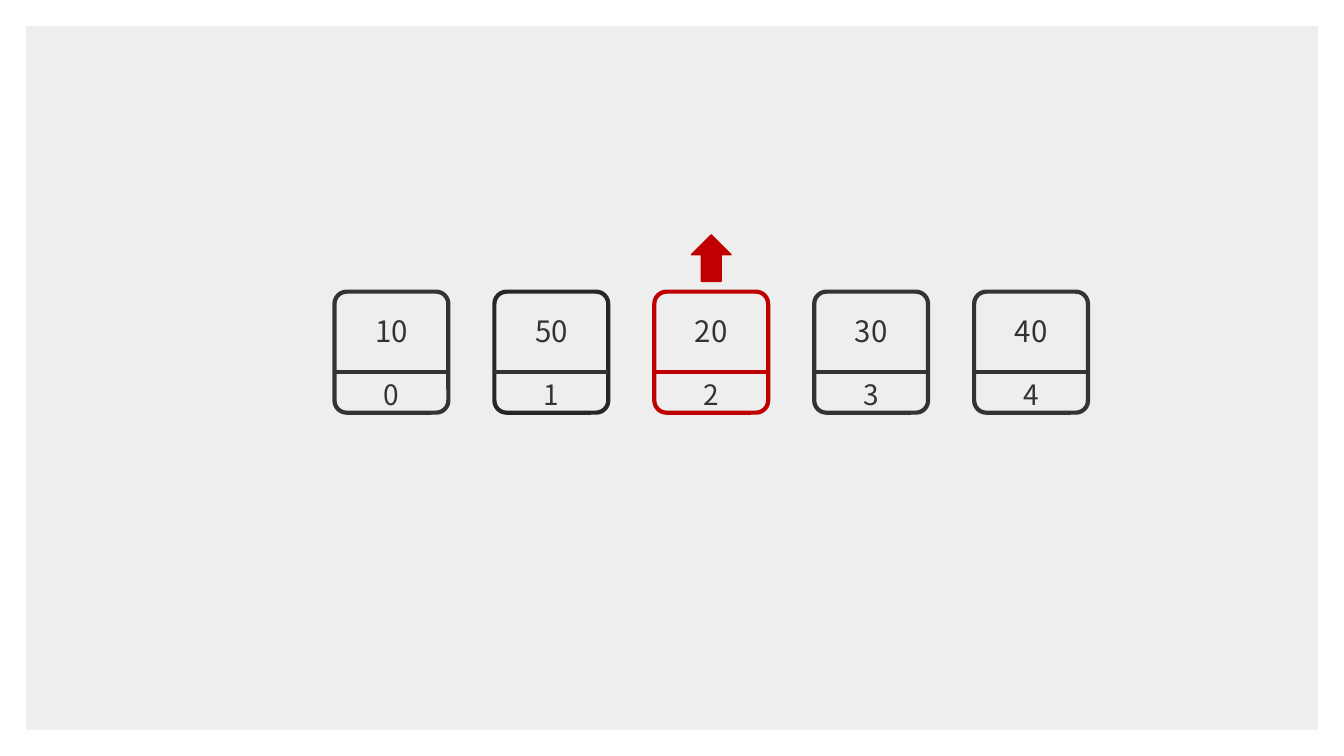
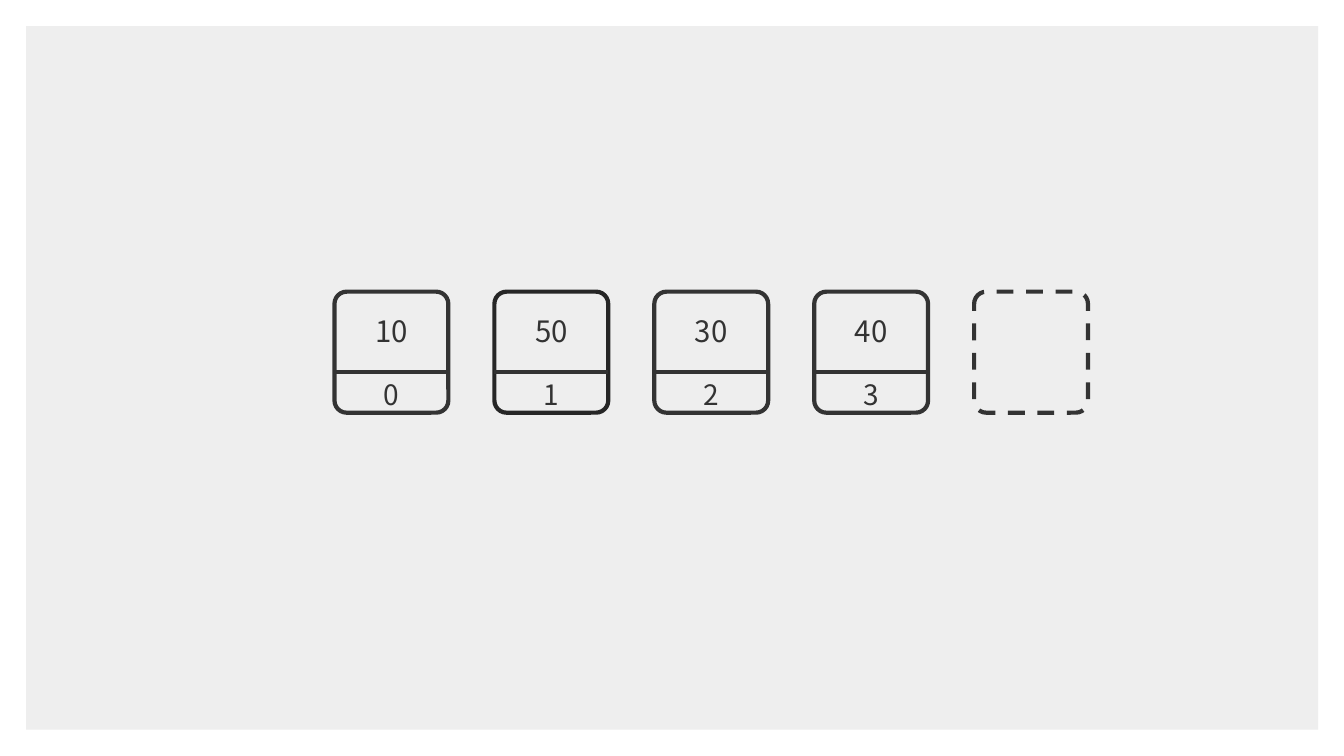
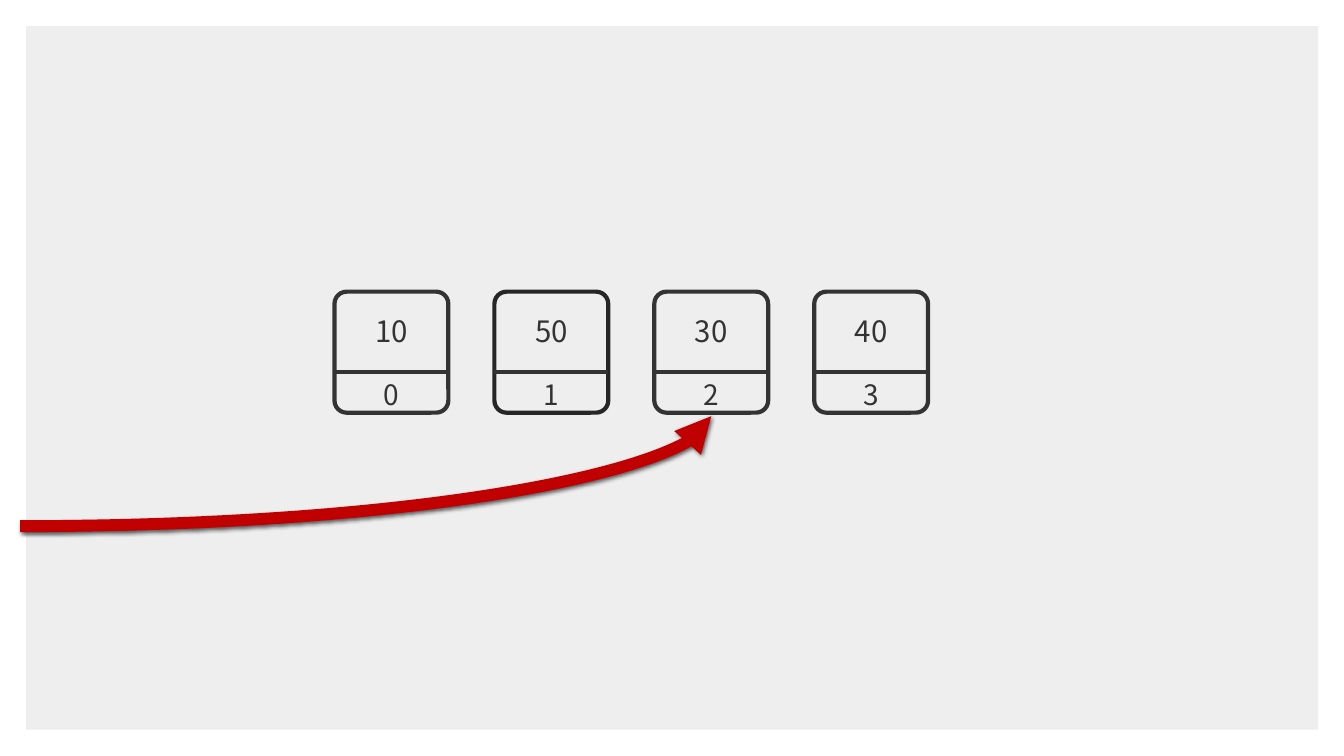
from dataclasses import dataclass

from lxml.etree import SubElement
from pptx import Presentation
from pptx.dml.color import RGBColor
from pptx.enum.dml import MSO_LINE
from pptx.enum.shapes import MSO_CONNECTOR, MSO_SHAPE
from pptx.enum.text import MSO_ANCHOR, MSO_AUTO_SIZE, PP_ALIGN
from pptx.oxml.ns import qn
from pptx.slide import Slide, SlideLayout
from pptx.util import Cm, Pt

PANEL = RGBColor(0xEE, 0xEE, 0xEE)
INK = RGBColor(0x33, 0x33, 0x33)
DARK = RGBColor(0x26, 0x26, 0x26)
RED = RGBColor(0xC0, 0x00, 0x00)
FONT = "Noto Sans CJK KR"

LEFT, TOP, PITCH = 8.43, 7.35, 4.03
CARD_W, CARD_H, DIVIDER = 2.87, 3.05, 2.03


@dataclass(frozen=True)
class Card:
    """One array element: its index, value and line colours."""

    index: int
    value: int
    outline: RGBColor = INK
    divider: RGBColor = INK


def card_left(index: int) -> float:
    """Left edge of an array slot in centimetres."""
    return LEFT + index * PITCH


def add_effects(connector, shadow: bool = False) -> None:
    """Replace the theme shadow by none, or by a soft one below."""
    effects = SubElement(connector._element.spPr, qn("a:effectLst"))
    if shadow:
        outer = SubElement(effects, qn("a:outerShdw"), blurRad=str(Pt(3)),
                           dist=str(Pt(1)), dir="5400000", rotWithShape="0")
        color = SubElement(outer, qn("a:srgbClr"), val="000000")
        SubElement(color, qn("a:alpha"), val="63000")


def add_outline(shapes, index: int, color: RGBColor):
    """Draw the rounded outline of an array slot."""
    sp = shapes.add_shape(MSO_SHAPE.ROUNDED_RECTANGLE, Cm(card_left(index)),
                          Cm(TOP), Cm(CARD_W), Cm(CARD_H))
    sp.adjustments[0] = 0.107
    sp.shadow.inherit = False
    sp.fill.background()
    sp.line.color.rgb = color
    sp.line.width = Pt(3)
    return sp


def add_label(shapes, index: int, offset: float, text: str, size: int,
              anchor: MSO_ANCHOR) -> None:
    """Write a centred number inside an array slot."""
    box = shapes.add_textbox(Cm(card_left(index)), Cm(TOP + offset), Cm(CARD_W), Cm(1.13))
    tf = box.text_frame
    tf.word_wrap = True
    tf.auto_size = MSO_AUTO_SIZE.SHAPE_TO_FIT_TEXT
    tf.vertical_anchor = anchor
    p = tf.paragraphs[0]
    p.text = text
    p.alignment = PP_ALIGN.CENTER
    p.font.name = FONT
    p.font.size = Pt(size)
    p.font.color.rgb = INK


def add_card(s: Slide, card: Card) -> None:
    """Draw one card as a group."""
    shapes = s.shapes.add_group_shape().shapes
    add_outline(shapes, card.index, card.outline)
    x, y = card_left(card.index), TOP + DIVIDER
    line = shapes.add_connector(MSO_CONNECTOR.STRAIGHT, Cm(x), Cm(y), Cm(x + CARD_W), Cm(y))
    line.line.color.rgb = card.divider
    line.line.width = Pt(3)
    add_effects(line)
    add_label(shapes, card.index, DIVIDER, str(card.index), 20, MSO_ANCHOR.TOP)
    add_label(shapes, card.index, 0.43, str(card.value), 21, MSO_ANCHOR.MIDDLE)


def add_panel(s: Slide, layout: SlideLayout) -> None:
    """Place the grey panel on the shared layout."""
    sp = s.shapes.add_shape(MSO_SHAPE.RECTANGLE, Cm(0.66), Cm(0.66), Cm(32.56), Cm(17.73))
    sp.shadow.inherit = False
    sp.fill.solid()
    sp.fill.fore_color.rgb = PANEL
    sp.line.fill.background()
    layout.shapes.element.insert(2, sp._element)


def add_removal_arrow(s: Slide, index: int) -> None:
    """Draw the block arrow above the card that leaves."""
    width = 1
    sp = s.shapes.add_shape(MSO_SHAPE.UP_ARROW, Cm(card_left(index) + (CARD_W - width) / 2),
                            Cm(5.92), Cm(width), Cm(1.17))
    sp.shadow.inherit = False
    sp.fill.solid()
    sp.fill.fore_color.rgb = RED
    sp.line.color.rgb = RED
    sp.line.width = Pt(1)


def add_pointer(s: Slide, index: int) -> None:
    """Draw the curved arrow that ends below a card."""
    curve = s.shapes.add_connector(MSO_CONNECTOR.CURVE, Cm(0.51), Cm(13.26),
                                   Cm(card_left(index) + CARD_W / 2), Cm(10.49))
    curve._element.spPr.find(qn("a:prstGeom")).set("prst", "curvedConnector2")
    curve.line.color.rgb = RED
    curve.line.width = Pt(8.5)
    SubElement(curve.line._get_or_add_ln(), qn("a:tailEnd"), type="triangle")
    add_effects(curve, shadow=True)


def main() -> None:
    """Build the three steps of removing an array element."""
    prs = Presentation()
    prs.slide_width, prs.slide_height = Cm(33.87), Cm(19.05)
    layout = prs.slide_layouts[6]
    removing, shifted, shortened = [prs.slides.add_slide(layout) for _ in range(3)]
    add_panel(removing, layout)

    kept = [Card(0, 10), Card(1, 50, outline=DARK)]
    before = kept + [Card(2, 20, RED, RED), Card(3, 30), Card(4, 40)]
    after = kept + [Card(2, 30), Card(3, 40)]
    for s, cards in ((removing, before), (shifted, after), (shortened, after)):
        for card in cards:
            add_card(s, card)

    add_removal_arrow(removing, 2)
    add_outline(shifted.shapes, 4, INK).line.dash_style = MSO_LINE.DASH
    add_pointer(shortened, 2)
    prs.save("out.pptx")


if __name__ == "__main__":
    main()
